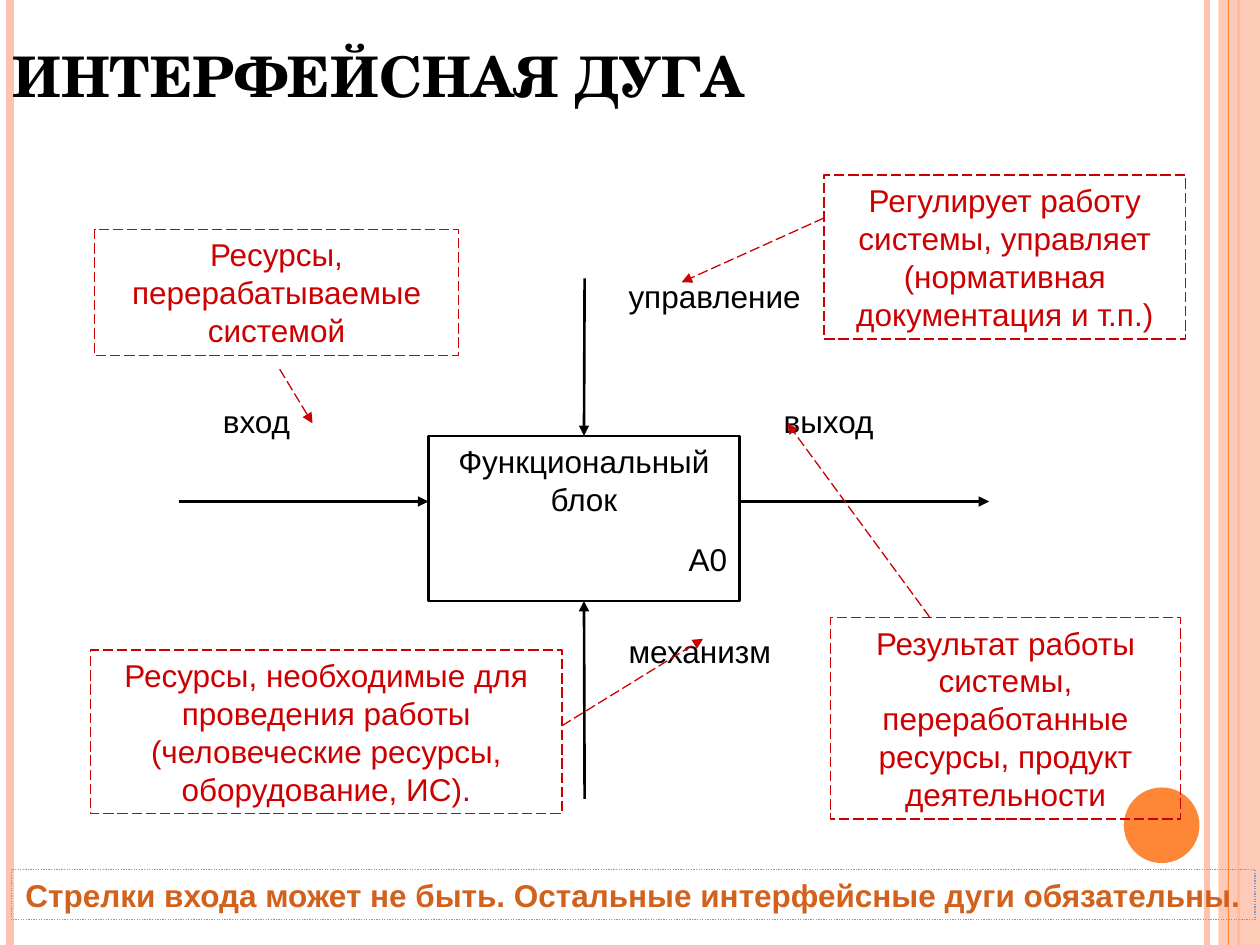
from lxml import etree
from pptx import Presentation
from pptx import util as u
from pptx.dml import color
from pptx.enum import dml, shapes, text
from pptx.oxml import ns

BLACK, WHITE, RED = "000000", "FFFFFF", "CC0000"
PEACH, ORANGE, RUST, BLUE = "FEC3AE", "FE8637", "D2611C", "7598D9"
LONG_DASH = dml.MSO_LINE.LONG_DASH
CENTER, RIGHT = text.PP_ALIGN.CENTER, text.PP_ALIGN.RIGHT
TOP, BOTTOM = 0, 2


def paint(target, hex_color):
    target.rgb = color.RGBColor.from_string(hex_color)


class Diagram:
    font = "Arial"
    size = 18

    def __init__(self, presentation):
        self.slide = presentation.slides.add_slide(presentation.slide_layouts[6])

    def style_line(self, line, hex_color, width, dash=None):
        line.fill.solid()
        paint(line.fill.fore_color, hex_color)
        line.width = u.Pt(width)
        if dash:
            line.dash_style = dash

    def shape(self, place, fill=None, line=None, kind=shapes.MSO_SHAPE.RECTANGLE,
              width=0.75, dash=None, opacity=100):
        """Add a preset shape; opacity of the fill is in percent."""
        shape = self.slide.shapes.add_shape(kind, *map(u.Inches, place))
        shape.shadow.inherit = False
        if fill:
            shape.fill.solid()
            paint(shape.fill.fore_color, fill)
            if opacity < 100:
                fill_color = shape._element.spPr.find(".//" + ns.qn("a:srgbClr"))
                etree.SubElement(fill_color, ns.qn("a:alpha"), val=str(opacity * 1000))
        else:
            shape.fill.background()
        if line:
            self.style_line(shape.line, line, width, dash)
        else:
            shape.line.fill.background()
        return shape

    def set_text(self, shape, content, hex_color=BLACK, align=text.PP_ALIGN.LEFT,
                 anchor=text.MSO_ANCHOR.TOP, bold=False, wrap=True, font=None,
                 size=None):
        frame = shape.text_frame
        frame.text = content
        frame.word_wrap = wrap
        frame.vertical_anchor = anchor
        for paragraph in frame.paragraphs:
            paragraph.alignment = align
            for run in paragraph.runs:
                run.font.name = font or self.font
                run.font.size = u.Pt(size or self.size)
                run.font.bold = bold
                paint(run.font.color, hex_color)
        return frame

    def title(self, place, content):
        box = self.slide.shapes.add_textbox(*map(u.Inches, place))
        self.set_text(box, content, anchor=text.MSO_ANCHOR.BOTTOM, bold=True,
                      font="TeX Gyre Schola", size=32)

    def label(self, place, content):
        self.set_text(self.shape(place, fill=WHITE), content)

    def line(self, start, end, hex_color, width, dash=None):
        connector = self.slide.shapes.add_connector(
            shapes.MSO_CONNECTOR.STRAIGHT, *map(u.Inches, start + end))
        self.style_line(connector.line, hex_color, width, dash)
        etree.SubElement(connector._element.spPr, ns.qn("a:effectLst"))
        return connector

    def arrow(self, start, end, hex_color=BLACK, width=1.5, dash=None):
        connector = self.line(start, end, hex_color, width, dash)
        outline = connector._element.spPr.find(ns.qn("a:ln"))
        etree.SubElement(outline, ns.qn("a:tailEnd"), type="triangle")
        return connector

    def callout(self, place, content, start, end):
        box = self.shape(place, line=RED, dash=LONG_DASH)
        self.set_text(box, content, RED, CENTER)
        self.arrow(start, end, RED, 0.75, LONG_DASH)


def draw_frame(diagram):
    """Draw the decorative stripes and the circle."""
    def stripe(x, hex_color, width):
        diagram.line((x, 0), (x, 7.5), hex_color, width)

    stripe(9.58, PEACH, 3)
    stripe(0.08, PEACH, 4.5)
    stripe(9.83, ORANGE, 1.5)
    diagram.shape((9.67, 0, 0.33, 7.5), fill=PEACH, opacity=87)
    stripe(9.75, ORANGE, 0.75)
    diagram.shape((8.92, 6.25, 0.6, 0.6), fill=ORANGE, kind=shapes.MSO_SHAPE.OVAL)


def draw_block(diagram):
    """Draw the functional block with its four arcs and their labels."""
    block = diagram.shape((3.4, 3.46, 2.47, 1.31), WHITE, BLACK, width=1.5)
    frame = diagram.set_text(block, "Функциональный блок\nА0", align=CENTER)
    number = frame.paragraphs[1]
    number.alignment = RIGHT
    number.space_before = u.Pt(12.6)

    diagram.arrow((4.64, 2.21), (4.64, 3.46)).end_connect(block, TOP)
    diagram.arrow((4.64, 6.34), (4.64, 4.77)).end_connect(block, BOTTOM)
    diagram.arrow((1.42, 3.98), (3.4, 3.98))
    diagram.arrow((5.88, 3.98), (7.85, 3.98))

    for left, top, width, content in (
            (4.89, 2.15, 2.23, "управление"),
            (1.67, 3.14, 1.24, "вход"),
            (6.12, 3.14, 1.48, "выход"),
            (4.89, 4.97, 1.98, "механизм")):
        diagram.label((left, top, width, 0.79), content)


def main():
    presentation = Presentation()
    presentation.slide_width = u.Inches(10)
    presentation.slide_height = u.Inches(7.5)
    diagram = Diagram(presentation)

    draw_frame(diagram)
    diagram.title((0, 0.3, 9, 0.61), "ИНТЕРФЕЙСНАЯ ДУГА")
    draw_block(diagram)

    diagram.callout(
        (0.72, 5.16, 3.74, 1.3),
        "Ресурсы, необходимые для проведения работы "
        "(человеческие ресурсы, оборудование, ИС).",
        (4.46, 5.76), (5.58, 5.07))
    diagram.callout(
        (0.75, 1.82, 2.89, 1), "Ресурсы, перерабатываемые системой",
        (2.22, 2.93), (2.48, 3.36))
    diagram.callout(
        (6.54, 1.39, 2.87, 1.3),
        "Регулирует работу системы, управляет (нормативная документация и т.п.)",
        (6.54, 1.73), (5.41, 2.24))
    diagram.callout(
        (6.59, 4.9, 2.78, 1.6),
        "Результат работы системы, переработанные ресурсы, продукт деятельности",
        (7.38, 4.9), (6.25, 3.36))

    note = diagram.shape((0.09, 6.9, 9.87, 0.4), line=BLUE, dash=dml.MSO_LINE.ROUND_DOT)
    diagram.set_text(
        note, "Стрелки входа может не быть. Остальные интерфейсные дуги обязательны.",
        RUST, CENTER, bold=True, wrap=False)

    presentation.save("out.pptx")


if __name__ == "__main__":
    main()
